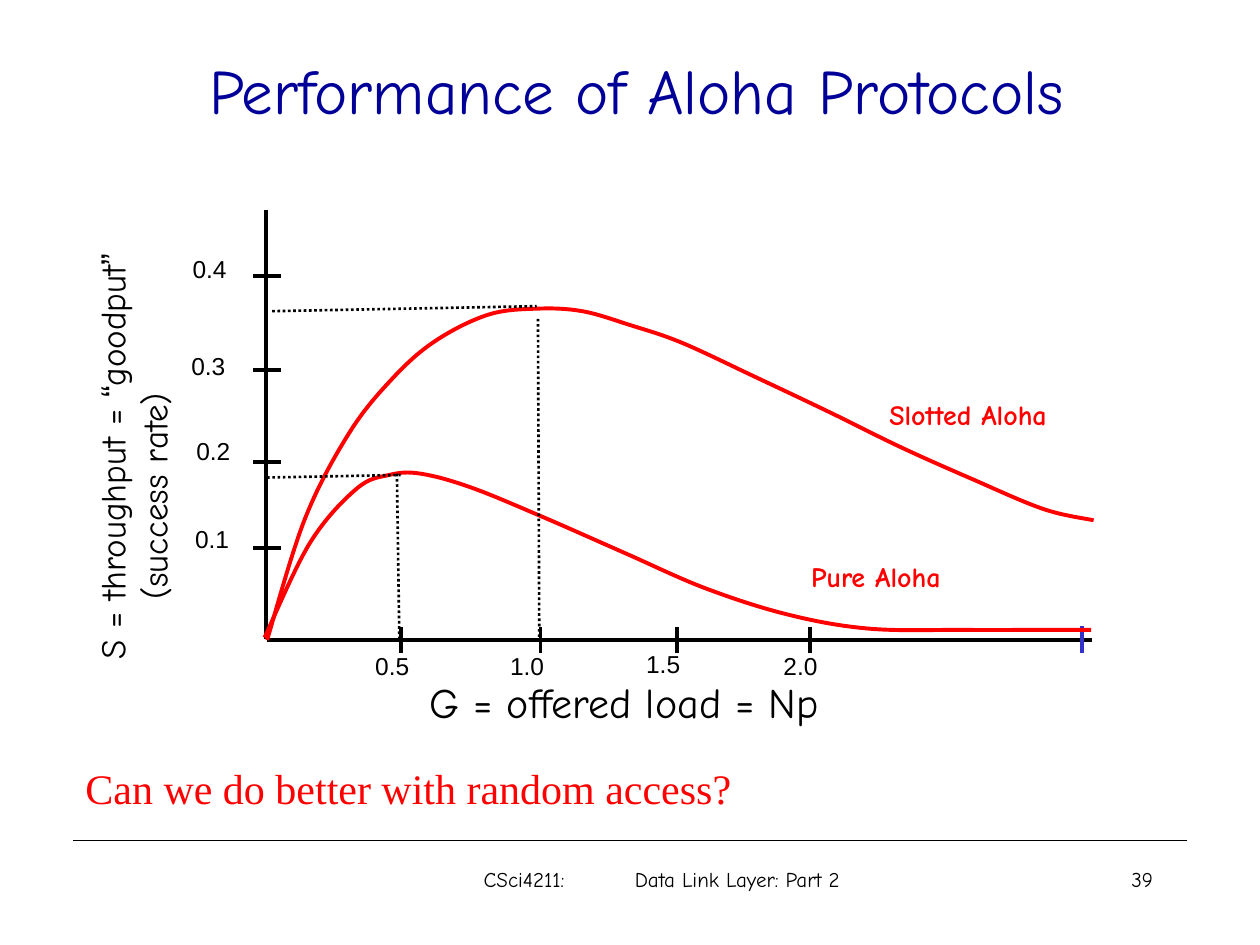
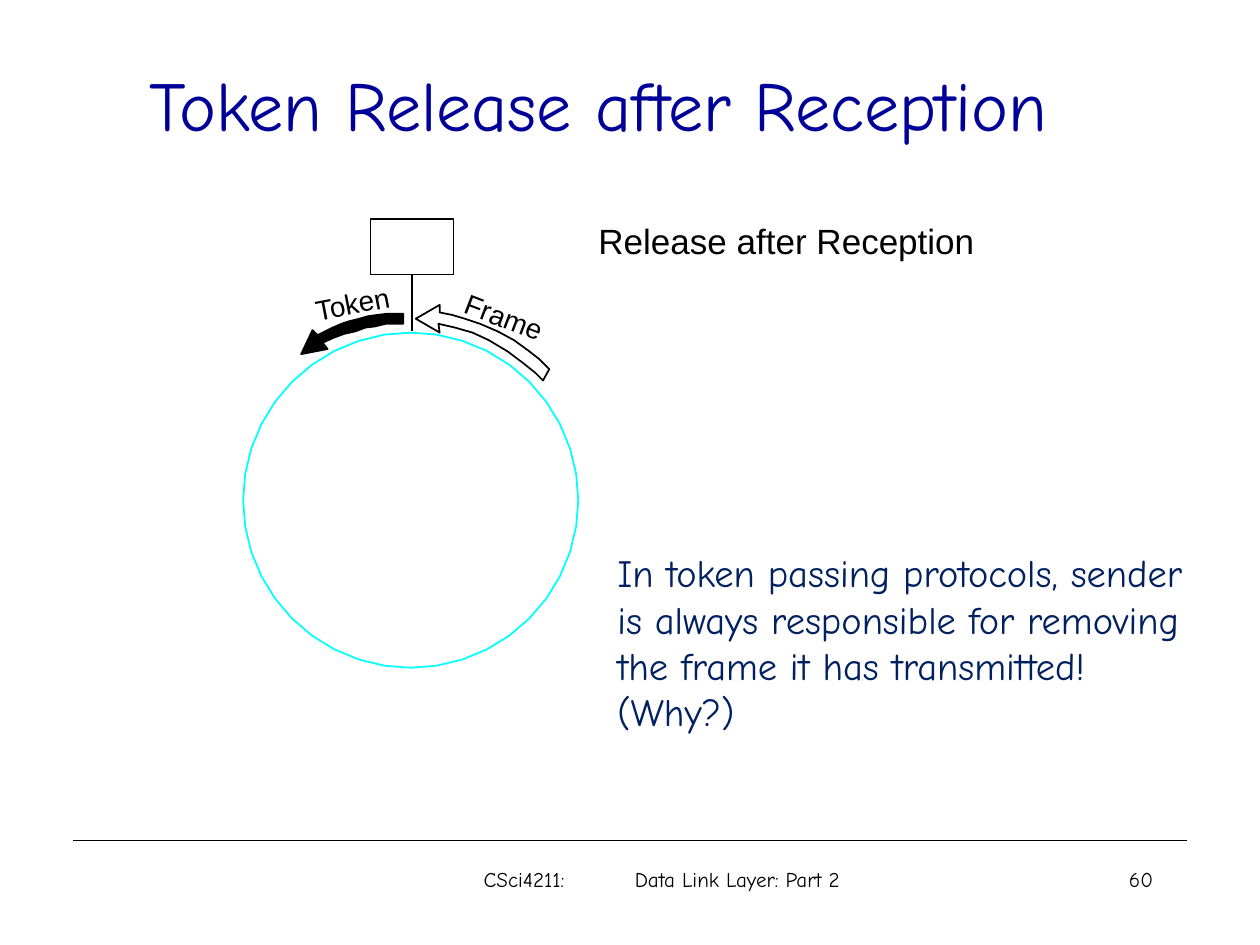
"""Build two lecture slides on random access and token passing."""
from itertools import groupby
from math import cos, radians, sin

from lxml import etree
from pptx import Presentation
from pptx import util as u
from pptx.dml.color import RGBColor
from pptx.enum import dml, shapes, text
from pptx.oxml import ns

COLORS = {"ink": "000000", "title": "000099", "curve": "FF0000", "end_tick": "3333CC",
          "ring": "00FFFF", "note": "002060"}
HAND, SANS, SERIF = "Comic Neue", "Arial", "Times New Roman"
LEFT, CENTER, RIGHT = text.PP_ALIGN.LEFT, text.PP_ALIGN.CENTER, text.PP_ALIGN.RIGHT
FOOTER = "CSci4211:\tData Link Layer: Part 2"


def inches(value):
    return u.Cm(value * 2.54)


def color(name):
    return RGBColor.from_string(COLORS[name])


def bezier_controls(before, start, end, after):
    return ([s + (e - b) / 6 for b, s, e in zip(before, start, end)],
            [e - (a - s) / 6 for s, e, a in zip(start, end, after)])


class Deck:
    def __init__(self):
        self.presentation = Presentation()
        self.presentation.slide_width = inches(10)
        self.presentation.slide_height = inches(7.5)
        self.slide = None

    def new_slide(self, title, title_box, title_size, number):
        self.slide = self.presentation.slides.add_slide(self.presentation.slide_layouts[6])
        self.line((0.58, 6.67), (9.42, 6.67), width=0.75)
        self.text(title_box, title, size=title_size, paint="title", align=CENTER,
                  anchor=text.MSO_ANCHOR.MIDDLE)
        self.text((7.17, 6.83, 2.08, 0.5), number, size=12, align=RIGHT)
        self.text((3.74, 6.83, 3.1, 0.5), FOOTER, size=12, tab=1.2)

    def text(self, box, content, size, font=HAND, paint="ink", bold=False, align=LEFT,
             anchor=text.MSO_ANCHOR.TOP, wrap=True, inset=True, rotation=0, indent=0, tab=0):
        shape = self.slide.shapes.add_textbox(*map(inches, box))
        shape.rotation = rotation
        frame = shape.text_frame
        frame_format = {"word_wrap": wrap, "vertical_anchor": anchor}
        if not inset:
            frame_format |= {f"margin_{side}": 0 for side in ("left", "top", "right", "bottom")}
        for name, value in frame_format.items():
            setattr(frame, name, value)
        for index, line in enumerate(content.split("\n")):
            paragraph = frame.add_paragraph() if index else frame.paragraphs[0]
            paragraph.alignment = align
            properties = paragraph._p.get_or_add_pPr()
            if index and indent:
                properties.set("marL", str(inches(indent)))
            if tab:
                stops = etree.SubElement(properties, ns.qn("a:tabLst"))
                etree.SubElement(stops, ns.qn("a:tab"), pos=str(inches(tab)), algn="l")
            for quote, letters in groupby(line, lambda letter: letter in "“”"):
                run = paragraph.add_run()
                run.text = "".join(letters)
                run_format = {"name": SANS if quote else font, "size": u.Pt(size), "bold": bold}
                for name, value in run_format.items():
                    setattr(run.font, name, value)
                run.font.color.rgb = color(paint)

    def line(self, start, end, paint="ink", width=2.25, dash=None):
        connector = self.slide.shapes.add_connector(
            shapes.MSO_CONNECTOR.STRAIGHT, *map(inches, (*start, *end)))
        self.stroke(connector, paint, width)
        if dash:
            connector.line.dash_style = dash
        etree.SubElement(connector._element.spPr, ns.qn("a:effectLst"))
        return connector

    def stroke(self, shape, paint, width):
        shape.line.color.rgb = color(paint)
        shape.line.width = u.Pt(width)

    def outline(self, shape, paint, width, fill=None):
        shape.shadow.inherit = False
        self.stroke(shape, paint, width)
        if fill:
            shape.fill.solid()
            shape.fill.fore_color.rgb = color(fill)
        else:
            shape.fill.background()
        return shape

    def rectangle(self, box):
        shape = self.slide.shapes.add_shape(shapes.MSO_SHAPE.RECTANGLE, *map(inches, box))
        return self.outline(shape, "ink", 1)

    def freeform(self, points, paint="ink", width=1, fill=None, close=True):
        first, *rest = [(inches(x), inches(y)) for x, y in points]
        builder = self.slide.shapes.build_freeform(*first)
        builder.add_line_segments(rest, close=close)
        return self.outline(builder.convert_to_shape(), paint, width, fill)

    def curve(self, knots, paint, width):
        shape = self.freeform(knots, paint, width, close=False)
        places = [(int(point.get("x")), int(point.get("y")))
                  for point in shape._element.iter(ns.qn("a:pt"))]
        padded = [places[0], *places, places[-1]]
        segments = list(shape._element.iter(ns.qn("a:lnTo")))
        for segment, *near in zip(segments, padded, padded[1:], padded[2:], padded[3:]):
            segment.tag = ns.qn("a:cubicBezTo")
            for index, (x, y) in enumerate(bezier_controls(*near)):
                control = etree.Element(ns.qn("a:pt"), x=str(round(x)), y=str(round(y)))
                segment.insert(index, control)


def aloha_slide(deck):
    deck.new_slide("Performance of Aloha Protocols", (0.8, 0.21, 8.5, 1), 36, "39")
    deck.line((2.12, 5.08), (8.67, 5.08))
    deck.line((2.11, 5.07), (2.11, 1.67))

    load_ticks = [("0.5", 3.18, 2.88, 5.12), ("1.0", 4.29, 3.95, 5.12),
                  ("1.5", 5.37, 5.03, 5.1), ("2.0", 6.43, 6.12, 5.12)]
    goodput_ticks = [("0.1", 4.35, 1.45, 4.11), ("0.2", 3.67, 1.46, 3.41),
                     ("0.3", 2.94, 1.42, 2.74), ("0.4", 2.19, 1.43, 1.97)]
    for _, x, *_ in load_ticks:
        deck.line((x, 4.98), (x, 5.18))
    deck.line((8.59, 4.97), (8.59, 5.18), paint="end_tick")
    for _, y, *_ in goodput_ticks:
        deck.line((2.01, y), (2.23, y))

    pure = [(2.1, 5.06), (2.46, 4.31), (2.83, 3.88), (3.09, 3.77), (3.34, 3.76), (3.74, 3.87),
            (4.3, 4.1), (4.96, 4.39), (5.6, 4.67), (6.26, 4.88), (6.9, 4.99), (7.64, 5),
            (8.27, 5), (8.66, 5)]
    slotted = [(2.12, 5.08), (2.42, 4.12), (2.77, 3.44), (3.11, 3.01), (3.45, 2.71),
               (3.87, 2.5), (4.26, 2.45), (4.62, 2.47), (5, 2.58), (5.41, 2.72), (5.99, 2.99),
               (6.58, 3.27), (7.15, 3.55), (7.71, 3.8), (8.28, 4.04), (8.68, 4.13)]
    for knots in (pure, slotted):
        deck.curve(knots, "curve", 2.25)

    peak_guides = [((2.12, 3.79), (3.18, 3.77)), ((3.15, 3.76), (3.17, 5.09)),
                   ((4.27, 2.53), (4.28, 5.06)), ((2.16, 2.47), (4.26, 2.43))]
    for start, end in peak_guides:
        deck.line(start, end, width=1.5, dash=dml.MSO_LINE.ROUND_DOT)

    deck.text((3.31, 5.32, 3.58, 0.5), "G = offered load = Np", size=24, wrap=False)
    for label, _, left, top in load_ticks + goodput_ticks:
        deck.text((left, top, 0.47, 0.33), label, size=14, font=SANS, wrap=False)
    for label, box in (("Pure Aloha", (6.34, 4.39, 1.36, 0.37)),
                       ("Slotted Aloha", (6.96, 3.11, 1.69, 0.37))):
        deck.text(box, label, size=16, paint="curve", bold=True, wrap=False)
    deck.text((-1.11, 2.78, 4.33, 0.77), "S = throughput = “goodput”\n(success rate)",
              size=20, rotation=270, indent=0.47)
    deck.text((0.58, 6, 5.5, 0.5), "Can we do better with random access?", size=24,
              font=SERIF, paint="curve")


def token_slide(deck):
    deck.new_slide("Token Release after Reception", (0.5, 0.2, 8.5, 1.25), 40, "60")
    sides, radius = 40, 1.33
    angles = [radians(360 * side / sides) for side in range(sides)]
    deck.freeform([(3.26 + radius * sin(angle), 3.97 + radius * cos(angle))
                   for angle in angles], paint="ring")
    station = deck.rectangle((2.94, 1.74, 0.66, 0.44))
    link = deck.line((3.27, 2.18), (3.27, 2.63), width=1)
    link.begin_connect(station, 2)

    token_arrow = [(2.56, 2.72), (2.65, 2.68), (2.73, 2.65), (2.82, 2.63), (2.9, 2.6),
                   (2.98, 2.59), (3.06, 2.57), (3.2, 2.57), (3.2, 2.49), (3.07, 2.49),
                   (2.99, 2.5), (2.92, 2.51), (2.85, 2.53), (2.77, 2.55), (2.71, 2.57),
                   (2.64, 2.6), (2.52, 2.66), (2.48, 2.62), (2.39, 2.81), (2.6, 2.77)]
    frame_arrow = [(4.36, 2.93), (4.31, 3.02), (4.25, 2.96), (4.15, 2.88), (4.03, 2.79),
                   (3.88, 2.7), (3.75, 2.64), (3.61, 2.6), (3.48, 2.57), (3.49, 2.64),
                   (3.3, 2.53), (3.49, 2.42), (3.49, 2.48), (3.59, 2.5), (3.69, 2.53),
                   (3.81, 2.57), (3.95, 2.63), (4.08, 2.7), (4.19, 2.78), (4.28, 2.85)]
    deck.freeform(token_arrow, fill="ink")
    deck.freeform(frame_arrow)

    for label, box, rotation in (("Token", (2.5, 2.27, 0.62, 0.27), 349),
                                 ("Frame", (3.68, 2.38, 0.64, 0.27), 21)):
        deck.text(box, label, size=16, font=SANS, wrap=False, inset=False, rotation=rotation)
    deck.text((4.75, 1.74, 4.07, 0.34), "Release after Reception", size=20, font=SANS,
              inset=False)
    deck.text((4.9, 4.36, 4.68, 1.48),
              "In token passing protocols, sender is always responsible for removing "
              "the frame it has transmitted! (Why?)", size=22, paint="note", inset=False)


def main():
    deck = Deck()
    aloha_slide(deck)
    token_slide(deck)
    deck.presentation.save("out.pptx")


if __name__ == "__main__":
    main()
